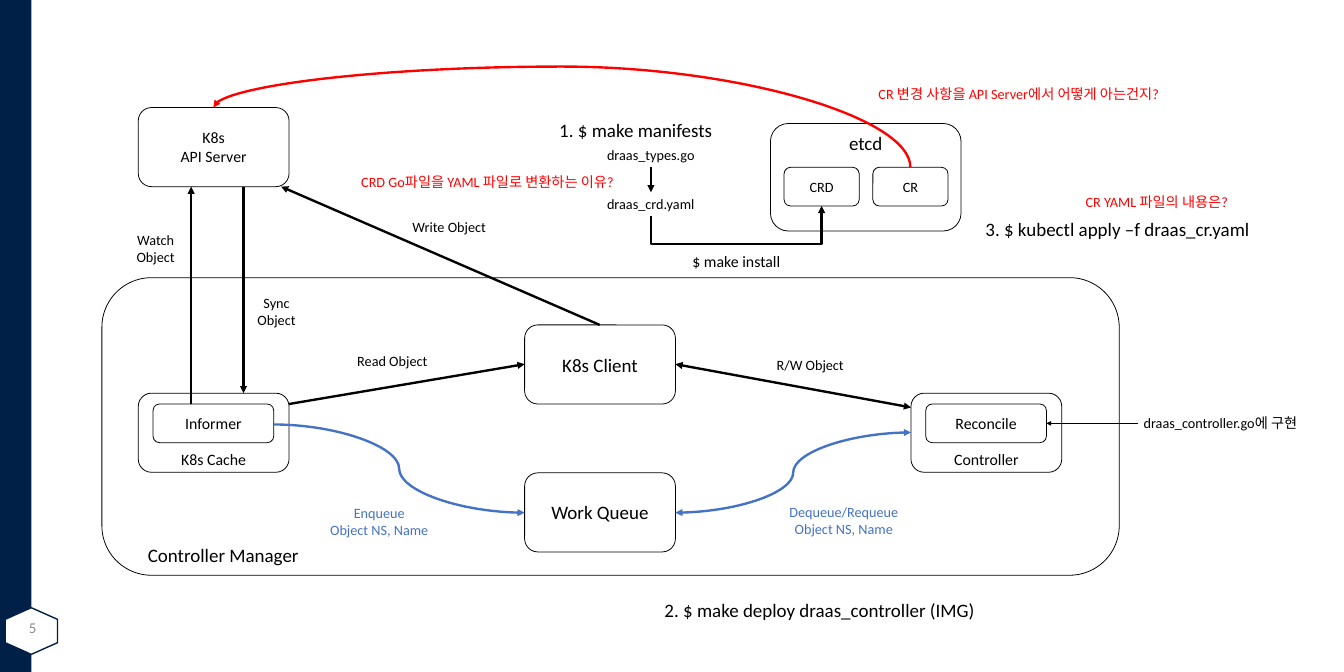
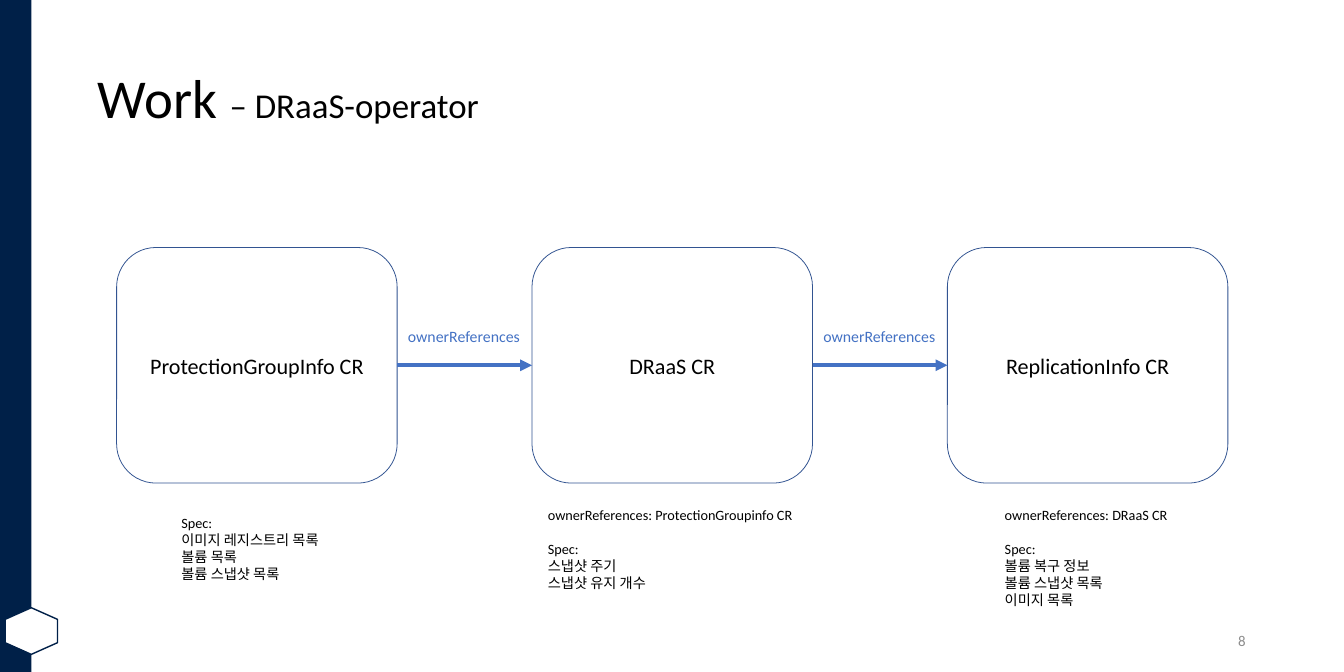
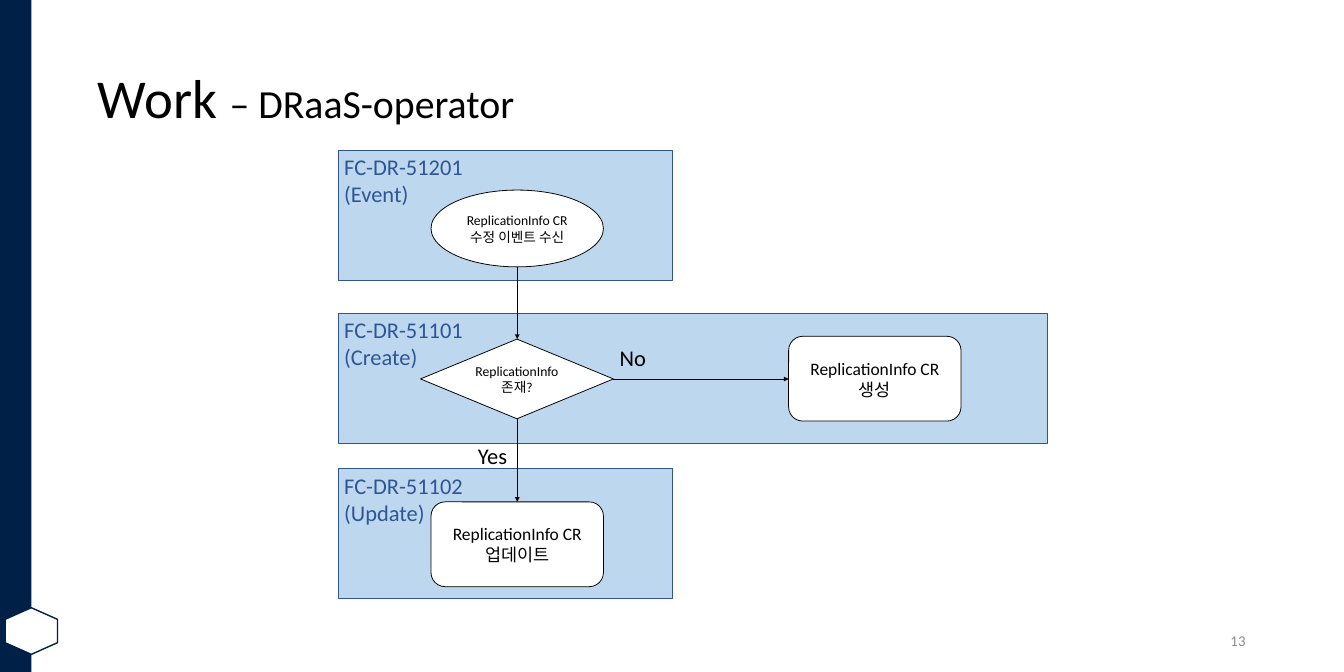
from lxml import etree
from pptx import Presentation
from pptx.dml.color import RGBColor
from pptx.enum.shapes import MSO_CONNECTOR, MSO_SHAPE
from pptx.enum.text import MSO_ANCHOR, MSO_AUTO_SIZE, PP_ALIGN
from pptx.oxml.ns import qn
from pptx.util import Inches, Pt

W, H = 23.62, 11.81
FONT = "Calibri"
NAVY = RGBColor(0x00, 0x20, 0x48)
BLACK = RGBColor(0x00, 0x00, 0x00)
WHITE = RGBColor(0xFF, 0xFF, 0xFF)
GRAY = RGBColor(0x8C, 0x8C, 0x8C)
RED = RGBColor(0xFF, 0x00, 0x00)
BLUE = RGBColor(0x44, 0x72, 0xC4)
EDGE = RGBColor(0x32, 0x54, 0x91)
LANE = RGBColor(0xBD, 0xD7, 0xEE)
LANE_TEXT = RGBColor(0x2F, 0x55, 0x97)

RECT, ROUND = MSO_SHAPE.RECTANGLE, MSO_SHAPE.ROUNDED_RECTANGLE
ELLIPSE, HEXAGON = MSO_SHAPE.OVAL, MSO_SHAPE.HEXAGON
DECISION = MSO_SHAPE.FLOWCHART_DECISION
STRAIGHT, ELBOW, CURVE = MSO_CONNECTOR.STRAIGHT, MSO_CONNECTOR.ELBOW, MSO_CONNECTOR.CURVE
TOP, MIDDLE, BOTTOM = MSO_ANCHOR.TOP, MSO_ANCHOR.MIDDLE, MSO_ANCHOR.BOTTOM
LEFT, CENTER, RIGHT = PP_ALIGN.LEFT, PP_ALIGN.CENTER, PP_ALIGN.RIGHT
GROW = MSO_AUTO_SIZE.SHAPE_TO_FIT_TEXT


def inches(*values):
    return [Inches(v) for v in values]


def write(tf, lines, size=18, color=BLACK, align=LEFT, anchor=TOP, wrap=True,
          spacing=None, first_gap=0):
    tf.word_wrap = wrap
    tf.vertical_anchor = anchor
    for i, line in enumerate(lines):
        p = tf.paragraphs[0] if i == 0 else tf.add_paragraph()
        p.alignment = align
        if spacing:
            p.line_spacing = spacing
        if first_gap and i == 0:
            p.space_after = Pt(first_gap)
        for words, points in [(line, size)] if isinstance(line, str) else line:
            r = p.add_run()
            r.text = words
            r.font.name = FONT
            r.font.size = Pt(points)
            r.font.color.rgb = color


def label(s, at, *lines, grow=True, **fmt):
    tf = s.shapes.add_textbox(*inches(*at)).text_frame
    write(tf, lines, **fmt)
    if grow:
        tf.auto_size = GROW


def box(s, at, *lines, kind=ROUND, fill=WHITE, line=BLACK, weight=1,
        align=CENTER, anchor=MIDDLE, **fmt):
    sp = s.shapes.add_shape(kind, *inches(*at))
    sp.shadow.inherit = False
    sp.fill.solid()
    sp.fill.fore_color.rgb = fill
    if line is None:
        sp.line.fill.background()
    else:
        sp.line.color.rgb = line
        sp.line.width = Pt(weight)
    if anchor == BOTTOM:
        sp.text_frame.margin_bottom = 0
    write(sp.text_frame, lines, align=align, anchor=anchor, **fmt)
    return sp


def arrow(s, start, end, color=BLACK, weight=3, kind=STRAIGHT, both=False):
    c = s.shapes.add_connector(kind, *inches(*start, *end))
    c.line.color.rgb = color
    c.line.width = Pt(weight)
    spPr = c.element.spPr
    ln = spPr.find(qn("a:ln"))
    for tag in ("a:headEnd", "a:tailEnd") if both else ("a:tailEnd",):
        etree.SubElement(ln, qn(tag), type="triangle")
    etree.SubElement(spPr, qn("a:effectLst"))
    return c


def vertical_route(s, start, end, bend_y, **fmt):
    (x1, y1), (x2, y2) = start, end
    cx, cy = (x1 + x2) / 2, (y1 + y2) / 2
    turn = 1 if x2 > x1 else -1
    begin, finish = [(cx + turn * (y - cy), cy - turn * (x - cx)) for x, y in (start, end)]
    spPr = arrow(s, begin, finish, **fmt).element.spPr
    spPr.find(qn("a:xfrm")).set("rot", str(turn * 90 % 360 * 60000))
    av = spPr.find(qn("a:prstGeom")).get_or_add_avLst()
    share = round((bend_y - y1) / (y2 - y1) * 100000)
    etree.SubElement(av, qn("a:gd"), name="adj1", fmla=f"val {share}")


def new_slide(prs, number, subtitle_size=None):
    s = prs.slides.add_slide(prs.slide_layouts[6])
    box(s, (0, 0, 0.55, H), kind=RECT, fill=NAVY, line=None)
    box(s, (0.14, 10.63, 0.82, 0.92), kind=HEXAGON, line=NAVY, weight=1.75).rotation = 90
    place = (0, 10.72, 0.74, 0.63)
    if subtitle_size:
        place = (16.68, 10.95, 5.31, 0.63)
        label(s, (1.62, 0.63, 20.37, 2.28),
              [("Work ", 69.3), ("– DRaaS-operator", subtitle_size)],
              grow=False, anchor=MIDDLE, spacing=0.9)
    label(s, place, number, grow=False, size=18.9, color=GRAY, align=RIGHT, anchor=MIDDLE)
    return s


def controller_slide(prs):
    s = new_slide(prs, "5")
    left, mid, right = [2.43 + 6.79 * i for i in range(3)]
    w, h = 2.65, 1.39
    box(s, (left, 1.89, w, h), "K8s", "API Server", size=20)
    box(s, (1.79, 4.88, 17.88, 5.23))
    label(s, (2.5, 9.51, 4, 0.5), "Controller Manager", size=24)
    for x, outer, inner in ((left, "K8s Cache", "Informer"), (right, "Controller", "Reconcile")):
        box(s, (x, 6.91, w, h), outer, size=20, anchor=BOTTOM)
        box(s, (x + 0.26, 7.1, 2.12, 0.68), inner, size=20)
    for y, name in ((5.71, "K8s Client"), (8.31, "Work Queue")):
        box(s, (mid, y, w, h), name, size=24)

    arrow(s, (3.36, 7.1), (3.36, 3.28))
    arrow(s, (4.28, 3.28), (4.28, 6.91))
    arrow(s, (4.81, 7.46), (mid, 9.01), color=BLUE, kind=CURVE)
    arrow(s, (mid + w, 9.01), (right, 7.6), color=BLUE, kind=CURVE, both=True)
    arrow(s, (left + w, 7.1), (mid, 6.4))
    arrow(s, (10.54, 5.71), (4.94, 3.28))
    arrow(s, (mid + w, 6.4), (right, 7.16), both=True)

    for at, lines, color in (
            ((13.65, 8.8, 2.36, 0.71), ("Dequeue/Requeue", "Object NS, Name"), BLUE),
            ((5.62, 8.81, 2.09, 0.71), ("Enqueue", "Object NS, Name"), BLUE),
            ((2.29, 4.02, 0.89, 0.71), ("Watch", "Object"), BLACK),
            ((4.35, 5.13, 1.02, 0.71), ("Sync", "Object"), BLACK)):
        label(s, at, *lines, color=color, align=CENTER)
    for x, y, name in ((7.15, 3.78, "Write Object"), (13.55, 6.21, "R/W Object"),
                       (6.18, 6.14, "Read Object")):
        label(s, (x, y, 1.71, 0.4), name)
    label(s, (12.07, 4.37, 2.19, 0.44), "$ make install", size=20)
    for at, step in (((11.58, 10.47, 5.7, 0.5), "2. $ make deploy draas_controller (IMG)"),
                     ((9.73, 2.04, 2.91, 0.5), "1. $ make manifests"),
                     ((17.22, 3.78, 4.88, 0.5), "3. $ kubectl apply –f draas_cr.yaml")):
        label(s, at, step, size=24, wrap=False)

    box(s, (13.54, 2.17, 3.35, 1.89), "etcd", size=24, anchor=TOP)
    for i, name in enumerate(("CRD", "CR")):
        box(s, (13.78 + 1.56 * i, 2.94, 1.32, 0.68), name)
    arrow(s, (11.44, 2.93), (11.44, 3.38))
    vertical_route(s, (11.44, 3.79), (14.44, 3.62), 4.29, kind=ELBOW)
    vertical_route(s, (16, 2.94), (3.75, 1.89), 1.17, kind=CURVE, color=RED)
    for at, note, color in (
            ((10.57, 2.53, 1.76, 0.4), "draas_types.go", BLACK),
            ((10.57, 3.38, 1.75, 0.4), "draas_crd.yaml", BLACK),
            ((15.34, 1.45, 5.47, 0.4), "CR 변경 사항을 API Server에서 어떻게 아는건지?", RED),
            ((18.98, 3.34, 2.85, 0.4), "CR YAML 파일의 내용은?", RED),
            ((6.25, 3, 4.93, 0.4), "CRD Go파일을 YAML 파일로 변환하는 이유?", RED),
            ((20, 7.24, 2.99, 0.4), "draas_controller.go에 구현", BLACK)):
        label(s, at, note, color=color, wrap=False)
    arrow(s, (20, 7.44), (18.39, 7.44), weight=0.5)


def owner_slide(prs):
    s = new_slide(prs, "8", 44.1)
    left, pitch, w = 2.05, 7.3, 4.93
    for i, name in enumerate(("ProtectionGroupInfo CR", "DRaaS CR", "ReplicationInfo CR")):
        box(s, (left + pitch * i, 4.35, w, 4.14), name, size=28, line=EDGE)
    for i in range(2):
        x = left + w + pitch * i
        arrow(s, (x, 6.42), (x + pitch - w, 6.42), color=BLUE, weight=5)
        label(s, (x + 0.09, 5.69, 2.19, 0.44), "ownerReferences", size=20, color=BLUE, wrap=False)
    label(s, (3.09, 8.99, 2.84, 1.31), "Spec:", "이미지 레지스트리 목록", "볼륨 목록",
          "볼륨 스냅샷 목록", wrap=False)
    label(s, (9.53, 8.84, 4.55, 1.62), "ownerReferences: ProtectionGroupinfo CR", "Spec:",
          "스냅샷 주기", "스냅샷 유지 개수", wrap=False, first_gap=22)
    label(s, (17.56, 8.84, 3.1, 1.92), "ownerReferences: DRaaS CR", "Spec:", "볼륨 복구 정보",
          "볼륨 스냅샷 목록", "이미지 목록", wrap=False, first_gap=22)


def flow_slide(prs):
    s = new_slide(prs, "13", 50.4)
    for y, w, code, event in ((2.64, 5.86, "FC-DR-51201", "(Event)"),
                              (8.24, 5.86, "FC-DR-51102", "(Update)"),
                              (5.51, 12.46, "FC-DR-51101", "(Create)")):
        box(s, (5.95, y, w, 2.28), code, event, kind=RECT, fill=LANE, line=EDGE,
            size=28.4, color=LANE_TEXT, align=LEFT, anchor=TOP)
    axis, w = 9.09, 3.03
    left = axis - w / 2
    box(s, (left, 3.34, w, 1.35), "ReplicationInfo CR 수정 이벤트 수신", kind=ELLIPSE, size=17.3)
    box(s, (axis - 1.7, 5.96, 3.39, 1.4), "ReplicationInfo", "존재?", kind=DECISION, size=17.3)
    box(s, (13.86, 5.91, w, 1.49), "ReplicationInfo CR 생성", size=22.1)
    box(s, (left, 8.82, w, 1.49), "ReplicationInfo CR 업데이트", size=22.1)
    for start, end in (((10.78, 6.66), (13.86, 6.66)), ((axis, 4.69), (axis, 5.96)),
                       ((axis, 7.36), (axis, 8.82))):
        arrow(s, start, end, weight=0.5)
    label(s, (10.79, 6, 0.67, 0.58), "No", size=28.4)
    label(s, (8.3, 7.72, 0.72, 0.58), "Yes", size=28.4)


def main():
    prs = Presentation()
    prs.slide_width, prs.slide_height = inches(W, H)
    controller_slide(prs)
    owner_slide(prs)
    flow_slide(prs)
    prs.save("out.pptx")


if __name__ == "__main__":
    main()
